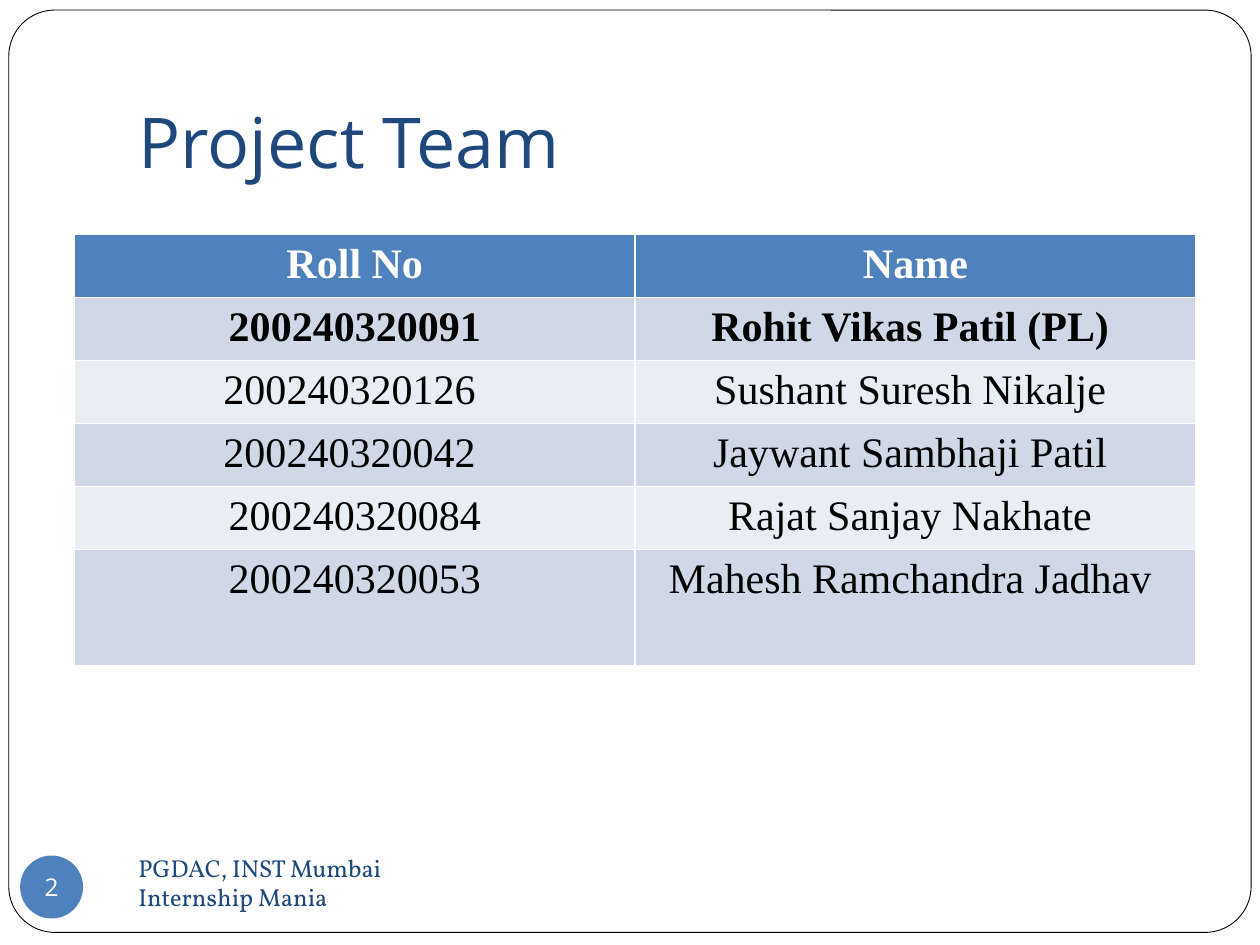
"""Build the project team slide with its roll number table."""
import dataclasses

import pptx
import pptx.dml.color
import pptx.enum.shapes
import pptx.enum.text
import pptx.oxml
import pptx.oxml.ns
import pptx.util

Inches = pptx.util.Inches
Pt = pptx.util.Pt
Align = pptx.enum.text.PP_ALIGN
Anchor = pptx.enum.text.MSO_ANCHOR
Preset = pptx.enum.shapes.MSO_SHAPE

WHITE, BLACK, NAVY, BLUE = "FFFFFF", "000000", "1F497D", "4F81BD"
BANDS = ("D0D8E8", "E9EDF4")
ROW_HEIGHT, LAST_ROW_HEIGHT, COLUMN_WIDTH = 0.47, 0.92, 4.45


@dataclasses.dataclass(frozen=True)
class Style:
    font: str
    size: float
    color: str
    bold: bool = False
    align: Align = Align.LEFT


@dataclasses.dataclass(frozen=True)
class Member:
    roll: str
    name: str
    bold: bool = False


TEAM = (
    Member("200240320091", "Rohit Vikas Patil (PL) ", True),
    Member("200240320126 ", "Sushant Suresh Nikalje "),
    Member("200240320042 ", "Jaywant Sambhaji Patil "),
    Member("200240320084", "Rajat Sanjay Nakhate "),
    Member("200240320053", "Mahesh Ramchandra Jadhav "),
)


def rgb(color: str) -> pptx.dml.color.RGBColor:
    return pptx.dml.color.RGBColor.from_string(color)


def write(frame, text: str, style: Style) -> None:
    frame.text = text
    for para in frame.paragraphs:
        para.alignment = style.align
        for span in para.runs:
            span.font.name = style.font
            span.font.size = Pt(style.size)
            span.font.bold = style.bold
            span.font.color.rgb = rgb(style.color)


def add_preset(page, preset: Preset, area: tuple, fill: str):
    shape = page.shapes.add_shape(preset, *map(Inches, area))
    shape.shadow.inherit = False
    shape.fill.solid()
    shape.fill.fore_color.rgb = rgb(fill)
    shape.line.fill.background()
    return shape


def add_label(page, area: tuple, text: str, style: Style, anchor: Anchor):
    box = page.shapes.add_textbox(*map(Inches, area))
    box.text_frame.word_wrap = True
    box.text_frame.vertical_anchor = anchor
    write(box.text_frame, text, style)
    return box


def add_borders(cell, color: str, width: float) -> None:
    properties = cell._tc.get_or_add_tcPr()
    for position, side in enumerate(("lnL", "lnR", "lnT", "lnB")):
        properties.insert(position, pptx.oxml.parse_xml(
            f'<a:{side} {pptx.oxml.ns.nsdecls("a")} w="{Pt(width)}">'
            f'<a:solidFill><a:srgbClr val="{color}"/></a:solidFill></a:{side}>'))


def add_row(table, index: int, texts: tuple, fill: str, style: Style) -> None:
    for column, text in enumerate(texts):
        cell = table.cell(index, column)
        cell.fill.solid()
        cell.fill.fore_color.rgb = rgb(fill)
        add_borders(cell, WHITE, 1)
        write(cell.text_frame, text, style)


def add_team_table(page) -> None:
    count = len(TEAM) + 1
    height = ROW_HEIGHT * len(TEAM) + LAST_ROW_HEIGHT
    area = map(Inches, (0.59, 1.86, 2 * COLUMN_WIDTH, height))
    table = page.shapes.add_table(count, 2, *area).table
    for row in table.rows:
        row.height = Inches(ROW_HEIGHT)
    table.rows[count - 1].height = Inches(LAST_ROW_HEIGHT)
    header = Style("Times New Roman", 24, WHITE, True, Align.CENTER)
    add_row(table, 0, ("Roll No", "Name"), BLUE, header)
    for index, member in enumerate(TEAM):
        style = dataclasses.replace(header, color=BLACK, bold=member.bold)
        add_row(table, index + 1, (member.roll, member.name), BANDS[index % 2], style)


def main() -> None:
    deck = pptx.Presentation()
    deck.slide_width, deck.slide_height = Inches(10), Inches(7.5)
    page = deck.slides.add_slide(deck.slide_layouts[6])

    frame = add_preset(page, Preset.ROUNDED_RECTANGLE, (0.07, 0.08, 9.86, 7.32), WHITE)
    frame.adjustments[0] = 0.05
    frame.line.color.rgb = rgb(BLACK)
    frame.line.width = Pt(0.5)

    title = add_label(page, (1, 0.3, 8.5, 1.25), "Project Team",
                      Style("Open Sans", 40, NAVY), Anchor.BOTTOM)
    title.text_frame.margin_bottom = Inches(0.1)

    badge = add_preset(page, Preset.OVAL, (0.16, 6.79, 0.5, 0.5), BLUE)
    number = badge.text_frame
    number.margin_left = number.margin_right = number.margin_top = number.margin_bottom = 0
    number.word_wrap = False
    number.vertical_anchor = Anchor.MIDDLE
    write(number, "2", Style("Open Sans", 14, WHITE, align=Align.CENTER))

    add_label(page, (1, 6.75, 5.02, 0.5), "PGDAC, INST Mumbai\vInternship Mania",
              Style("Vollkorn", 14, NAVY), Anchor.MIDDLE)
    add_team_table(page)
    deck.save("out.pptx")


main()
